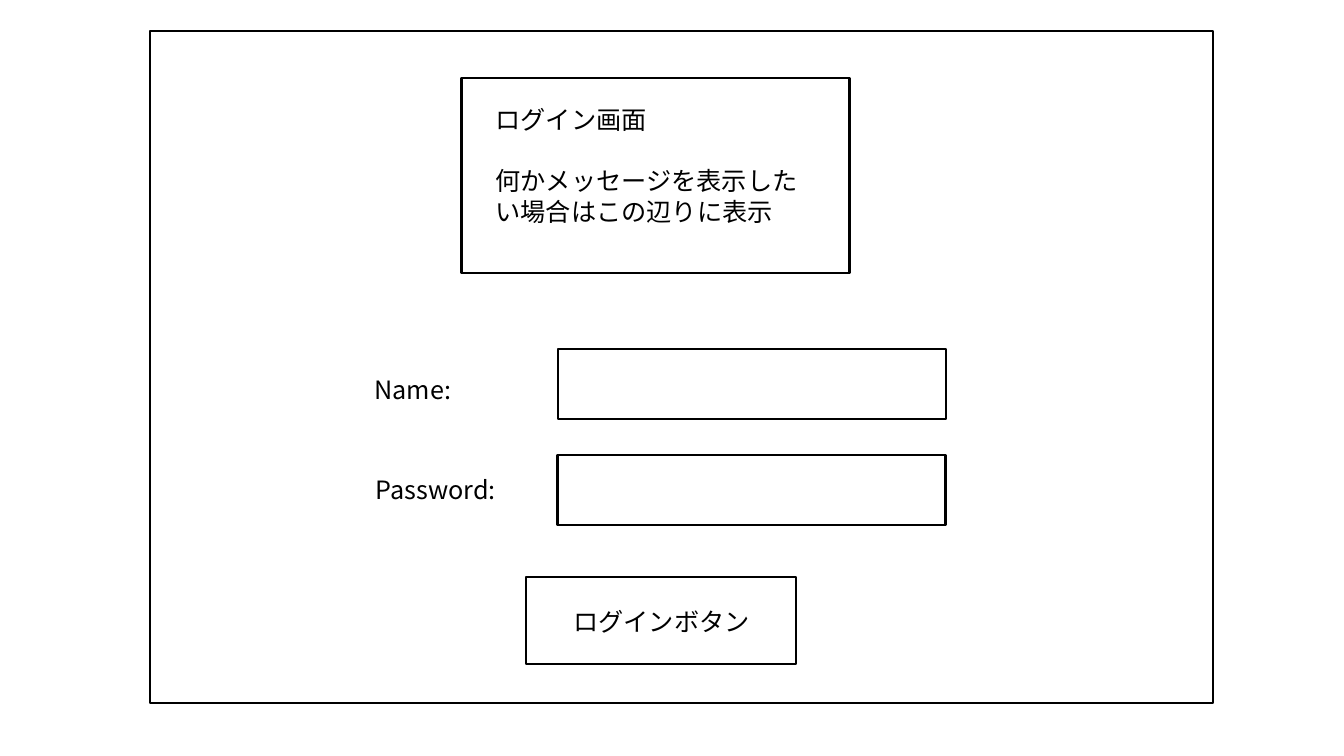
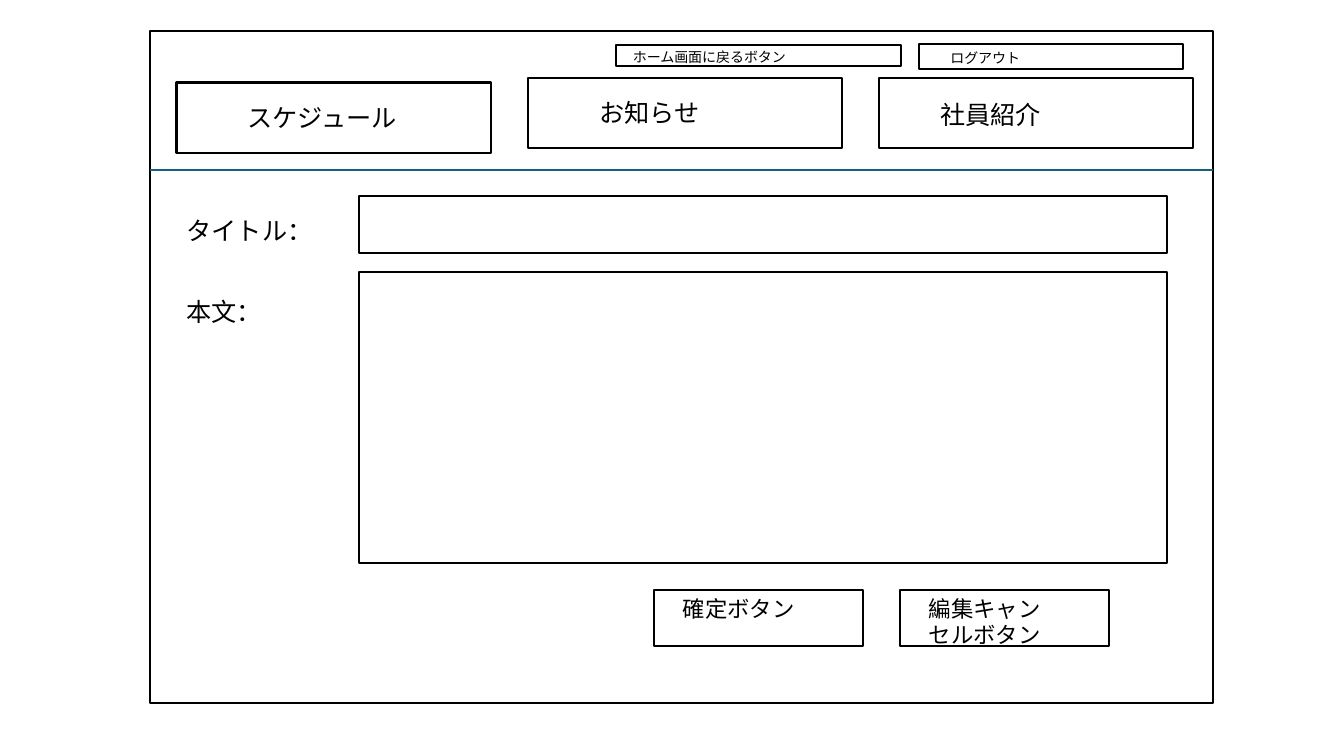
from pptx import Presentation
from pptx.dml.color import RGBColor
from pptx.enum.shapes import MSO_CONNECTOR, MSO_SHAPE
from pptx.enum.text import MSO_ANCHOR, MSO_AUTO_SIZE
from pptx.oxml.ns import qn
from pptx.util import Cm, Pt

RECTANGLE = MSO_SHAPE.RECTANGLE
STRAIGHT = MSO_CONNECTOR.STRAIGHT

# Shared look
BLACK, WHITE, TEAL = "000000", "FFFFFF", "156082"
FONT = "Noto Sans CJK JP"
LINE_WIDTH = Pt(1.5)
LINE_HEIGHTS = {10: 0.69, 16: 0.94, 18: 1.02}
FRAME = (3.78, 0.79, 26.8, 16.92)
TEXT_FORMAT = {
    "word_wrap": True,
    "auto_size": MSO_AUTO_SIZE.SHAPE_TO_FIT_TEXT,
    "vertical_anchor": MSO_ANCHOR.TOP,
}


def color(value):
    return RGBColor.from_string(value)


def add_panel(page, left, top, width, height):
    """Outlined white rectangle: frame, input field or button."""
    panel = page.shapes.add_shape(
        RECTANGLE, Cm(left), Cm(top), Cm(width), Cm(height))
    panel.shadow.inherit = False
    panel.fill.solid()
    panel.fill.fore_color.rgb = color(WHITE)
    panel.line.color.rgb = color(BLACK)
    panel.line.width = LINE_WIDTH


def add_label(page, lines, left, top, width, size=18, height=None, gap=0):
    """Text box with one paragraph per line, set apart by gap points."""
    box = page.shapes.add_textbox(
        Cm(left), Cm(top), Cm(width), Cm(height or LINE_HEIGHTS[size]))
    frame = box.text_frame
    for name, value in TEXT_FORMAT.items():
        setattr(frame, name, value)
    for index, line in enumerate(lines):
        para = frame.add_paragraph() if index else frame.paragraphs[0]
        if index:
            para.space_before = Pt(gap)
        span = para.add_run()
        span.text = line
        for name, value in {"name": FONT, "size": Pt(size)}.items():
            setattr(span.font, name, value)
        span.font.color.rgb = color(BLACK)
        # East Asian typeface
        east_asian = span.font._element.makeelement(
            qn("a:ea"), {"typeface": FONT})
        span.font._element.append(east_asian)


def add_divider(page, left, right, top):
    divider = page.shapes.add_connector(
        STRAIGHT, Cm(left), Cm(top), Cm(right), Cm(top))
    divider.line.color.rgb = color(TEAL)
    divider.line.width = LINE_WIDTH
    properties = divider._element.spPr
    properties.append(properties.makeelement(qn("a:effectLst"), {}))


def add_page(deck):
    page = deck.slides.add_slide(deck.slide_layouts[6])
    add_panel(page, *FRAME)
    return page


def build_login(deck):
    page = add_page(deck)

    # Message area
    add_panel(page, 11.63, 1.96, 9.78, 4.93)
    message = ["ログイン画面", "何かメッセージを表示したい場合はこの辺りに表示"]
    add_label(page, message, 12.24, 2.51, 8.38, height=3.33, gap=22)

    # Input fields
    for field_left, field_top in ((14.07, 8.79), (14.05, 11.46)):
        add_panel(page, field_left, field_top, 9.78, 1.78)
    add_label(page, ["Name:"], 9.19, 9.32, 3.51)
    add_label(page, ["Password:"], 9.22, 11.84, 4.04)

    # Login button
    add_panel(page, 13.26, 14.55, 6.81, 2.18)
    add_label(page, ["ログインボタン"], 14.2, 15.16, 5.23)


def build_editor(deck):
    page = add_page(deck)
    frame_left, _, frame_width, _ = FRAME
    add_divider(page, frame_left, frame_left + frame_width, 4.29)

    # Navigation tabs
    tabs = [
        ("スケジュール", 2.08, 5.99, 2.46),
        ("お知らせ", 1.96, 14.86, 2.34),
        ("社員紹介", 1.96, 23.44, 2.39),
    ]
    for index, (name, top, text_left, text_top) in enumerate(tabs):
        add_panel(page, 4.45 + index * 8.85, top, 7.92, 1.78)
        add_label(page, [name], text_left, text_top, 6.38)

    # Small buttons at the top
    add_panel(page, 15.52, 1.14, 7.19, 0.53)
    add_label(page, ["ホーム画面に戻るボタン"], 15.7, 1.09, 5.21, size=10)
    add_panel(page, 23.16, 1.12, 6.65, 0.61)
    add_label(page, ["ログアウト"], 23.7, 1.12, 5.21, size=10)

    # Title and body fields
    fields = [
        ("タイトル：", 5.31, 4.22, 4.95, 1.42),
        ("本文：", 7.34, 3.35, 6.86, 7.34),
    ]
    for name, text_top, text_width, top, height in fields:
        add_label(page, [name], 4.45, text_top, text_width)
        add_panel(page, 9.04, top, 20.37, height)

    # Confirm and cancel buttons
    buttons = [("確定ボタン", 16.48, 0.94), ("編集キャンセルボタン", 22.68, 1.63)]
    for name, left, text_height in buttons:
        add_panel(page, left, 14.86, 5.26, 1.42)
        add_label(page, [name], left + 0.48, 14.86, 3.81,
                  size=16, height=text_height)


def main():
    deck = Presentation()
    deck.slide_width, deck.slide_height = Cm(33.87), Cm(19.05)
    build_login(deck)
    build_editor(deck)
    deck.save("out.pptx")


if __name__ == "__main__":
    main()
